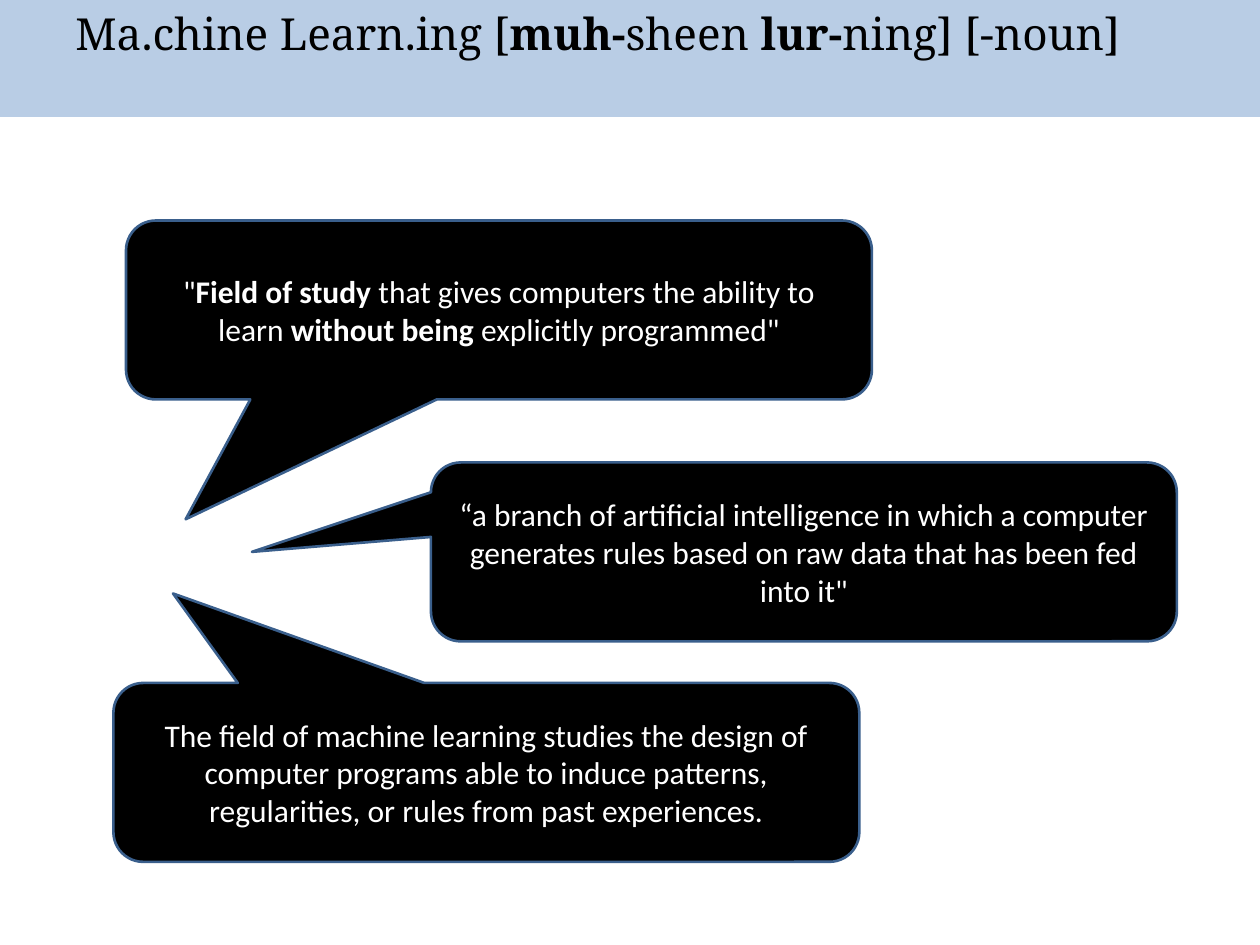
from dataclasses import dataclass

from pptx import Presentation
from pptx.dml.color import RGBColor
from pptx.enum.shapes import MSO_SHAPE
from pptx.enum.text import MSO_ANCHOR, PP_ALIGN
from pptx.util import Inches, Pt


@dataclass(frozen=True)
class Theme:
    band: str = "B9CDE5"
    ink: str = "000000"
    paper: str = "FFFFFF"
    outline: str = "3A5F8C"
    title_font: str = "Noto Serif"
    body_font: str = "Calibri"
    title_size: float = 25.2
    body_size: float = 18
    line_width: float = 1.5


THEME = Theme()
BUBBLE_SIZE = (5.92, 1.42)

# Text pieces alternate regular, bold, regular, ...
TITLE = ["Ma.chine Learn.ing [", "muh-", "sheen ", "lur-", "ning] [-noun]"]

# Left, top, pointer tip (relative to the bubble centre), text pieces
BUBBLES = [
    (1, 1.75, (-0.42, 1.17),
     ['"', "Field of study",
      "\u00a0that gives computers the ability to learn\u00a0",
      "without being", '\u00a0explicitly programmed"']),
    (3.42, 3.67, (-0.74, 0),
     ["\u201ca branch of artificial intelligence in which a computer "
      'generates rules based on raw data that has been fed into it"']),
    (0.9, 5.42, (-0.42, -1),
     ["The field of machine learning studies the design of computer "
      "programs able to induce patterns, regularities, or rules from "
      "past experiences."]),
]


def write_text(tf, pieces, font, size, color, align, anchor):
    tf.word_wrap = True
    tf.vertical_anchor = anchor
    p = tf.paragraphs[0]
    p.alignment = align
    for i, piece in enumerate(pieces):
        r = p.add_run()
        r.text = piece
        r.font.name = font
        r.font.size = Pt(size)
        r.font.bold = i % 2 == 1
        r.font.color.rgb = RGBColor.from_string(color)


def add_filled_shape(slide, kind, box, fill, line):
    sp = slide.shapes.add_shape(kind, *map(Inches, box))
    sp.shadow.inherit = False
    sp.fill.solid()
    sp.fill.fore_color.rgb = RGBColor.from_string(fill)
    sp.line.color.rgb = RGBColor.from_string(line)
    sp.line.width = Pt(THEME.line_width)
    return sp


def add_title(slide):
    sp = slide.shapes.add_textbox(*map(Inches, (0.5, 0, 9, 1)))
    write_text(sp.text_frame, TITLE, THEME.title_font, THEME.title_size,
               THEME.ink, PP_ALIGN.LEFT, MSO_ANCHOR.TOP)


def add_bubble(slide, left, top, tip, pieces):
    sp = add_filled_shape(slide, MSO_SHAPE.ROUNDED_RECTANGULAR_CALLOUT,
                          (left, top, *BUBBLE_SIZE), THEME.ink, THEME.outline)
    sp.adjustments[0], sp.adjustments[1] = tip
    write_text(sp.text_frame, pieces, THEME.body_font, THEME.body_size,
               THEME.paper, PP_ALIGN.CENTER, MSO_ANCHOR.MIDDLE)


def main():
    prs = Presentation()
    prs.slide_width, prs.slide_height = Inches(10), Inches(7.5)
    slide = prs.slides.add_slide(prs.slide_layouts[6])

    # Heading band and title
    add_filled_shape(slide, MSO_SHAPE.RECTANGLE, (0, 0, 10, 0.92),
                     THEME.band, THEME.band)
    add_title(slide)

    # Definitions in speech bubbles
    for bubble in BUBBLES:
        add_bubble(slide, *bubble)

    prs.save("out.pptx")


main()
